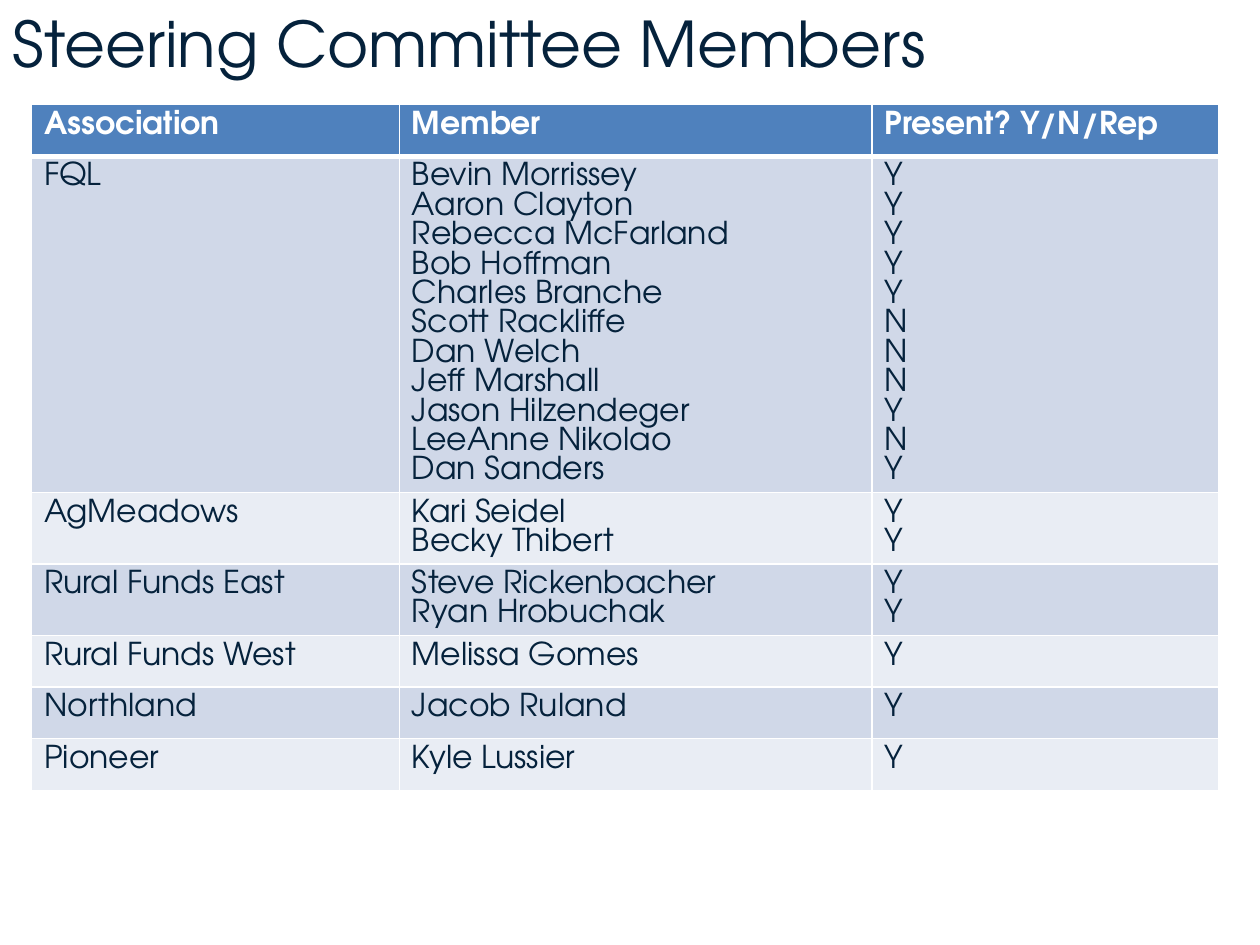
from pptx import Presentation
from pptx.dml.color import RGBColor
from pptx.enum.text import MSO_ANCHOR
from pptx.oxml import parse_xml
from pptx.oxml.ns import nsdecls
from pptx.util import Inches, Pt

# Content: association, then its members with their attendance
TITLE = "Steering Committee Members"
HEAD = ("Association", "Member", "Present? Y/N/Rep")
GROUPS = [
    ("FQL", [
        ("Bevin Morrissey", "Y"), ("Aaron Clayton", "Y"),
        ("Rebecca McFarland", "Y"), ("Bob Hoffman", "Y"),
        ("Charles Branche", "Y"), ("Scott Rackliffe", "N"),
        ("Dan Welch", "N"), ("Jeff Marshall", "N"),
        ("Jason Hilzendeger", "Y"), ("LeeAnne Nikolao", "N"),
        ("Dan Sanders", "Y"),
    ]),
    ("AgMeadows", [("Kari Seidel", "Y"), ("Becky Thibert", "Y")]),
    ("Rural Funds East", [("Steve Rickenbacher", "Y"), ("Ryan Hrobuchak", "Y")]),
    ("Rural Funds West", [("Melissa Gomes", "Y")]),
    ("Northland", [("Jacob Ruland", "Y")]),
    ("Pioneer", [("Kyle Lussier", "Y")]),
]

FONT = "TeX Gyre Adventor"
NAVY = RGBColor(0x05, 0x22, 0x3C)
WHITE = RGBColor(0xFF, 0xFF, 0xFF)
BLUE = RGBColor(0x4F, 0x81, 0xBD)
BANDS = (RGBColor(0xD0, 0xD8, 0xE8), RGBColor(0xE9, 0xED, 0xF4))

# Grid, in inches; line pitch in points
WIDE, HIGH = 10, 7.5
LEFT, TOP = 0.25, 0.83
COLS = (2.92, 3.75, 2.75)
ROW, PAD, PITCH = 0.41, 0.05, 16.8


def style(par, size, color, bold=False):
    font = par.font
    font.name, font.size, font.bold = FONT, Pt(size), bold
    font.color.rgb = color


def border(cell, side, width):
    return parse_xml(
        f'<a:{side} {nsdecls("a")} w="{Pt(width)}"><a:solidFill>'
        f'<a:srgbClr val="{WHITE}"/></a:solidFill></a:{side}>')


def fill_cell(cell, lines, fill, color, head, under):
    cell.fill.solid()
    cell.fill.fore_color.rgb = fill
    cell.text = "\n".join(lines)
    for par in cell.text_frame.paragraphs:
        style(par, 18, color, head)
        par.line_spacing = Pt(PITCH)
    # Borders come before the fill in the cell properties
    props = cell._tc.get_or_add_tcPr()
    widths = {"lnL": 1, "lnR": 1, "lnT": under, "lnB": 3 if head else 1}
    for spot, (side, width) in enumerate(widths.items()):
        props.insert(spot, border(cell, side, width))


deck = Presentation()
deck.slide_width, deck.slide_height = Inches(WIDE), Inches(HIGH)
slide = deck.slides.add_slide(deck.slide_layouts[6])

# Title
box = slide.shapes.add_textbox(0, 0, Inches(WIDE), Inches(0.67))
frame = box.text_frame
frame.word_wrap = True
frame.vertical_anchor = MSO_ANCHOR.MIDDLE
frame.text = TITLE
style(frame.paragraphs[0], 36, NAVY)

# Table: every row is as tall as its list of members
rows = [[[text] for text in HEAD]]
for name, people in GROUPS:
    rows.append([[name], [who for who, _ in people], [here for _, here in people]])
tall = [max(ROW, len(row[1]) * PITCH / 72 + 2 * PAD) for row in rows]

table = slide.shapes.add_table(
    len(rows), len(COLS), Inches(LEFT), Inches(TOP),
    Inches(sum(COLS)), Inches(sum(tall))).table
for col, width in zip(table.columns, COLS):
    col.width = Inches(width)
for r, row in enumerate(rows):
    table.rows[r].height = Inches(tall[r])
    head = r == 0
    fill = BLUE if head else BANDS[(r - 1) % 2]
    for c, lines in enumerate(row):
        fill_cell(table.cell(r, c), lines, fill, WHITE if head else NAVY,
                  head, 3 if r == 1 else 1)

deck.save("out.pptx")
